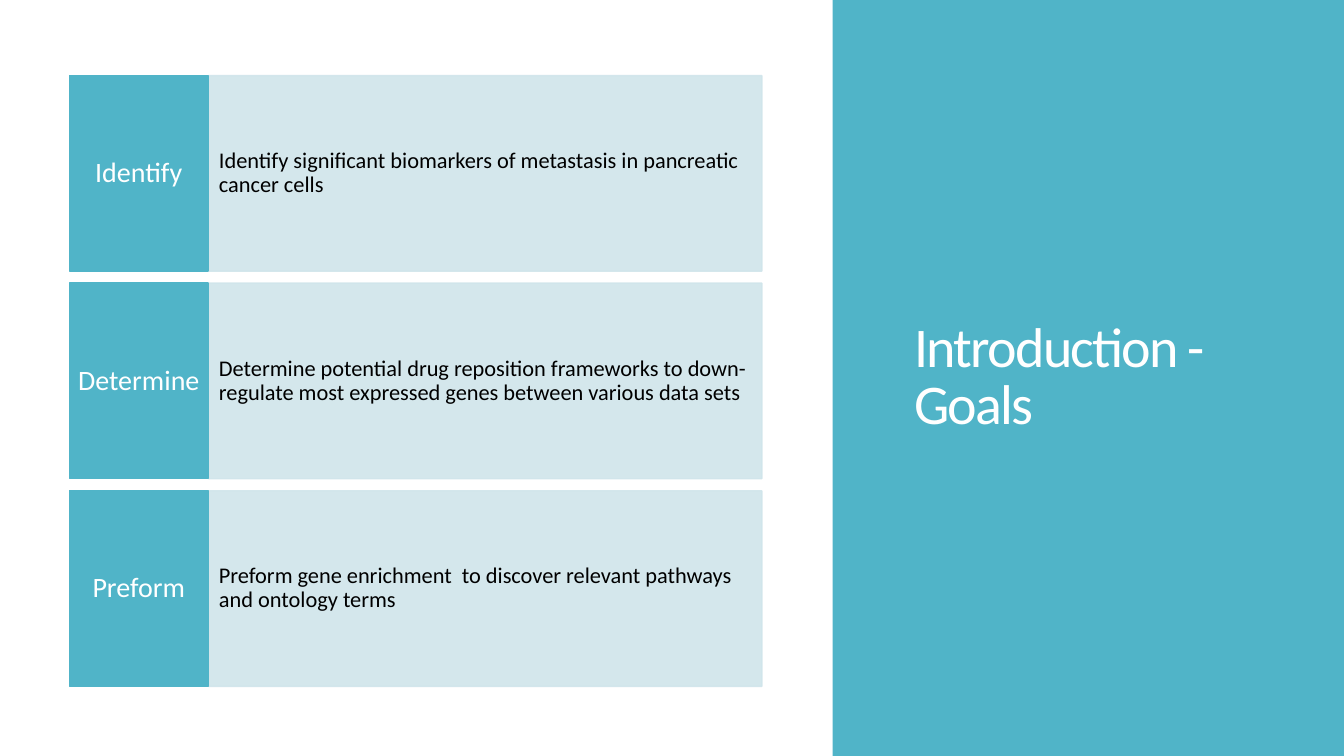
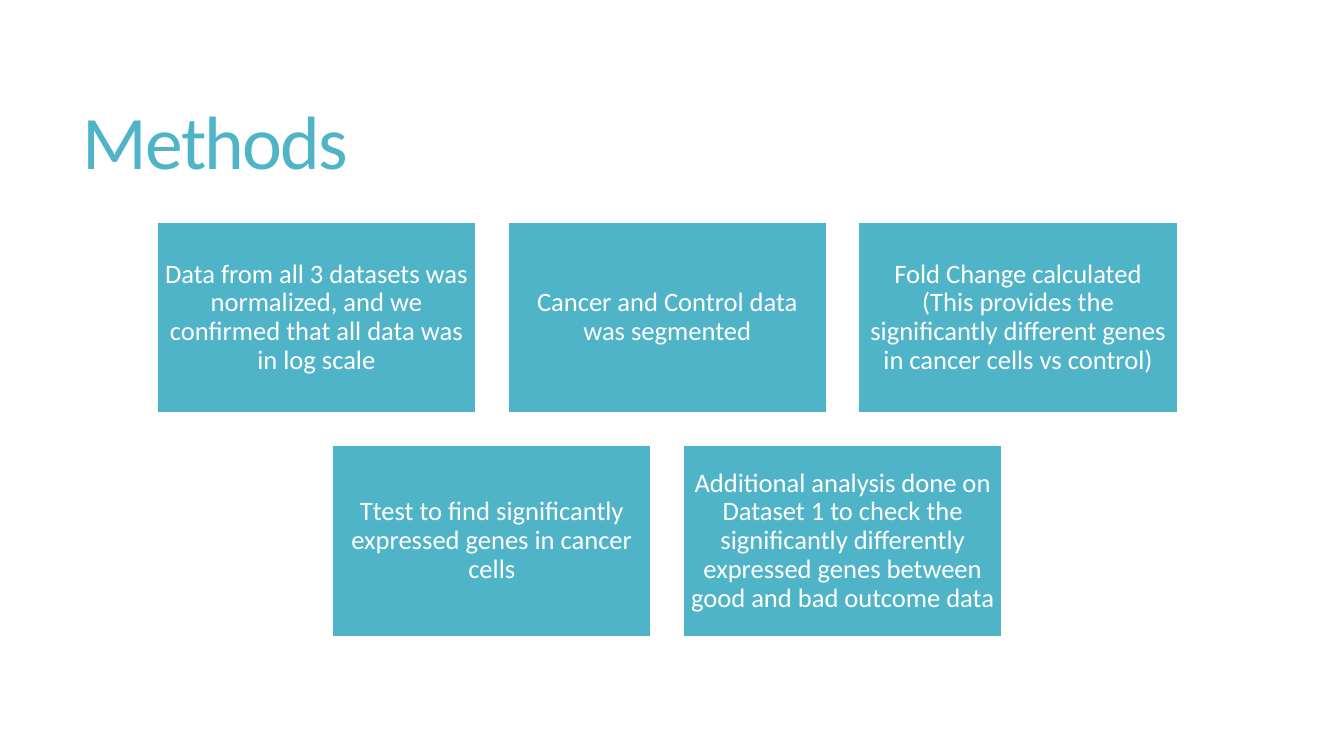
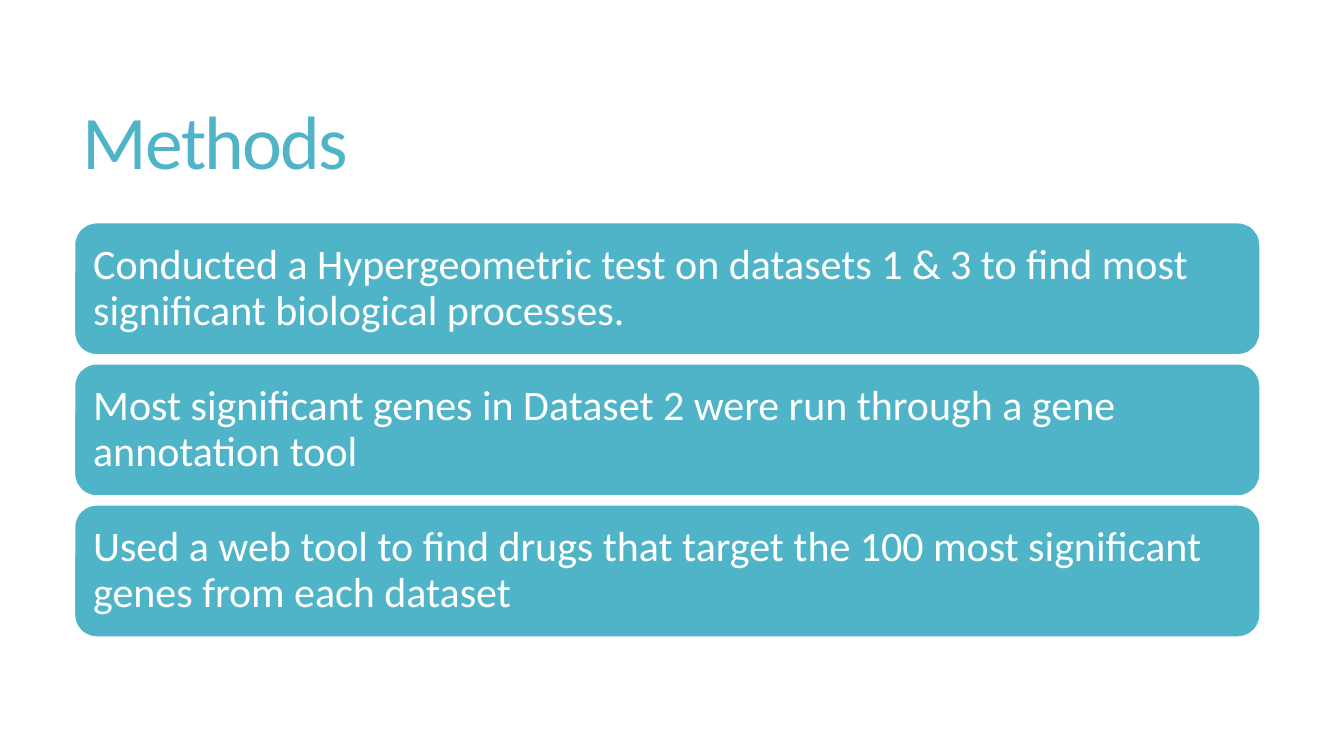
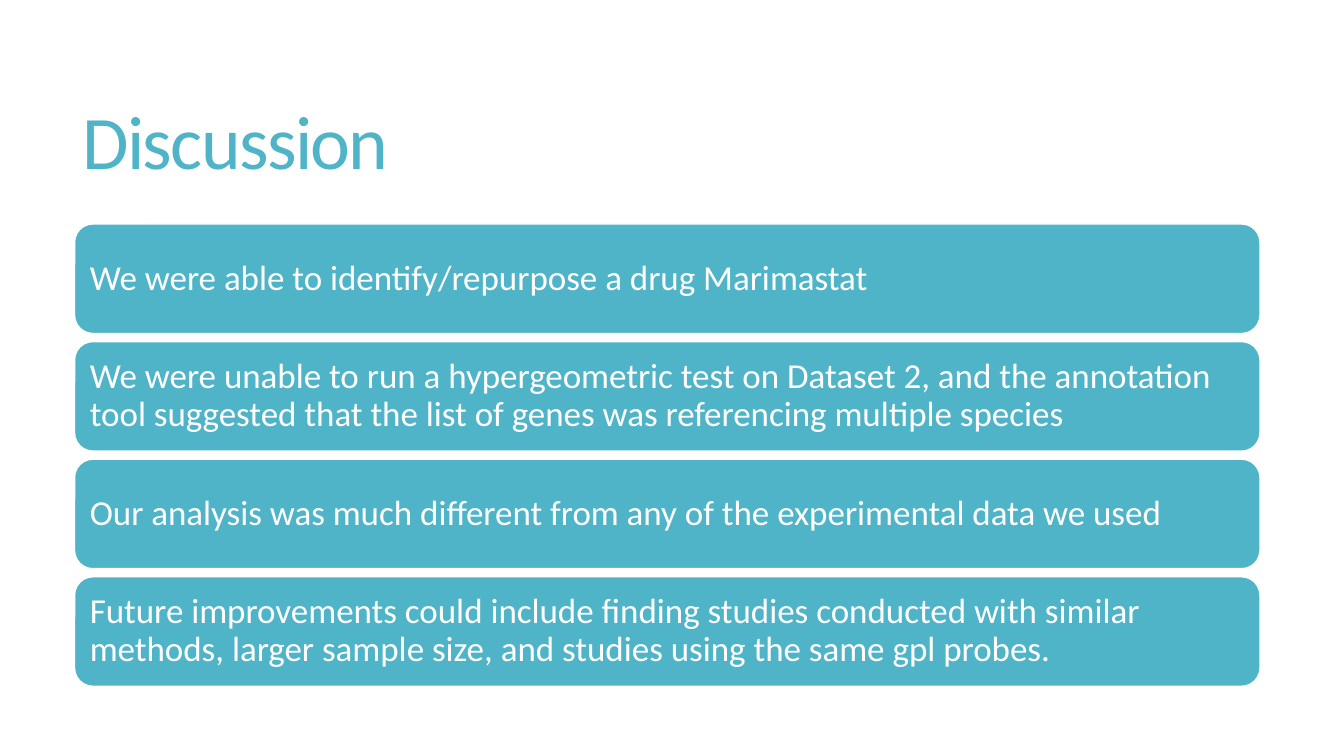
from pptx import Presentation
from pptx.dml.color import RGBColor
from pptx.enum.shapes import MSO_SHAPE
from pptx.enum.text import MSO_ANCHOR, PP_ALIGN
from pptx.oxml.ns import qn
from pptx.util import Pt
from lxml import etree

RECT, ROUNDED = MSO_SHAPE.RECTANGLE, MSO_SHAPE.ROUNDED_RECTANGLE
LEFT, CENTER = PP_ALIGN.LEFT, PP_ALIGN.CENTER
MIDDLE = MSO_ANCHOR.MIDDLE

FONT = "Calibri"
COLORS = {"teal": "50B4C8", "pale": "D0E5EB", "white": "FFFFFF", "black": "000000"}
COLORS = {name: RGBColor.from_string(value) for name, value in COLORS.items()}

deck = Presentation()
deck.slide_width, deck.slide_height = Pt(960), Pt(540)
blank = deck.slide_layouts[6]


def add_block(page, kind, area, text="", size=20, align=CENTER, inset=5.5,
              fill="teal", line="white", color="white"):
    """Add a filled shape with one paragraph, vertically centred."""
    box = page.shapes.add_shape(kind, *[Pt(value) for value in area])
    box.shadow.inherit = False
    box.fill.solid()
    box.fill.fore_color.rgb = COLORS[fill]
    box.line.color.rgb = COLORS[line]
    box.line.width = Pt(1)
    frame = box.text_frame
    frame.word_wrap = True
    frame.vertical_anchor = MIDDLE
    frame.margin_left = frame.margin_right = Pt(inset)
    frame.margin_top = frame.margin_bottom = Pt(inset)
    para = frame.paragraphs[0]
    para.text = text
    para.alignment = align
    para.line_spacing = 0.9
    para.font.name, para.font.size = FONT, Pt(size)
    para.font.color.rgb = COLORS[color]
    return box


def add_title(page, text, area=(51.84, 39.6, 848.2, 130.3), size=54, color="teal"):
    """Add the slide title with tightened letter spacing."""
    box = page.shapes.add_textbox(*[Pt(value) for value in area])
    frame = box.text_frame
    frame.word_wrap = True
    frame.vertical_anchor = MIDDLE
    para = frame.paragraphs[0]
    para.line_spacing = 0.85
    para.font.name, para.font.size = FONT, Pt(size)
    para.font.color.rgb = COLORS[color]
    span = para.add_run()
    span.text = text
    span._r.get_or_add_rPr().set("spc", "-120")


# Slide 1: goals beside a title panel
page = deck.slides.add_slide(blank)
panel = add_block(page, RECT, (594.72, 0, 365.28, 540))
panel.line.fill.background()
add_title(page, "Introduction - Goals", (645.84, 50.4, 263.5, 440), 40, "white")

goals = [
    ("Identify", "Identify significant biomarkers\u00a0of metastasis in pancreatic cancer cells"),
    ("Determine", "Determine\u00a0potential drug reposition frameworks to down-regulate "
                  "most expressed\u00a0genes\u00a0between\u00a0various data sets"),
    ("Preform", "Preform gene enrichment\u00a0 to discover relevant pathways "
                "and\u00a0ontology\u00a0terms"),
]
for row, (label, detail) in enumerate(goals):
    top = 54 + row * 148.3
    detail_box = add_block(page, RECT, (148.9, top, 395.3, 139.7), detail, 16, LEFT, 7.5,
                           fill="pale", line="pale", color="black")
    for tint in detail_box.fill._xPr.iter(qn("a:srgbClr")):
        etree.SubElement(tint, qn("a:alpha")).set("val", "90000")
    add_block(page, RECT, (49.7, top, 98.9, 139.7), label, 20, inset=5, line="teal")

# Slide 2: method cards, each row centred
page = deck.slides.add_slide(blank)
add_title(page, "Methods")
card_rows = [
    ["Data from all 3 datasets was normalized, and we confirmed that all data was in log scale",
     "Cancer and Control data was segmented",
     "Fold Change calculated (This provides the significantly different genes "
     "in cancer cells vs control)"],
    ["Ttest to find significantly expressed genes in cancer cells",
     "Additional analysis done on Dataset 1 to check the significantly differently "
     "expressed genes between good and bad outcome data"],
]
card_width, card_height, gap = 227.5, 136.5, 23.1
for row, cards in enumerate(card_rows):
    row_width = len(cards) * (card_width + gap) - gap
    for column, text in enumerate(cards):
        left = 476.6 - row_width / 2 + column * (card_width + gap)
        top = 158.6 + row * (card_height + gap)
        add_block(page, RECT, (left, top, card_width, card_height), text, 19)

# Slides 3 and 4: stacked bars
bar_slides = [
    ("Methods", 159.1, 94.3, 100.8, 30, 8.7, [
        "Conducted a Hypergeometric test on datasets 1 & 3 to find most significant "
        "biological processes.",
        "Most significant genes in Dataset 2 were run through a gene annotation tool",
        "Used a web tool to find drugs that target the 100 most significant genes "
        "from each dataset",
    ]),
    ("Discussion", 160, 78.2, 84, 25, 7.2, [
        "We were able to identify/repurpose a drug\u00a0Marimastat",
        "We were unable to run a hypergeometric test on Dataset 2, and the annotation tool "
        "suggested that the list of genes was referencing multiple species",
        "Our analysis was much different from any of the experimental data we used",
        "Future improvements could include finding studies conducted with similar methods, "
        "larger sample size, and studies using the same gpl probes.",
    ]),
]
for title, first_top, height, pitch, size, inset, bars in bar_slides:
    page = deck.slides.add_slide(blank)
    add_title(page, title)
    for row, text in enumerate(bars):
        area = (53.28, first_top + row * pitch, 846.7, height)
        add_block(page, ROUNDED, area, text, size, LEFT, inset)

deck.save("out.pptx")
